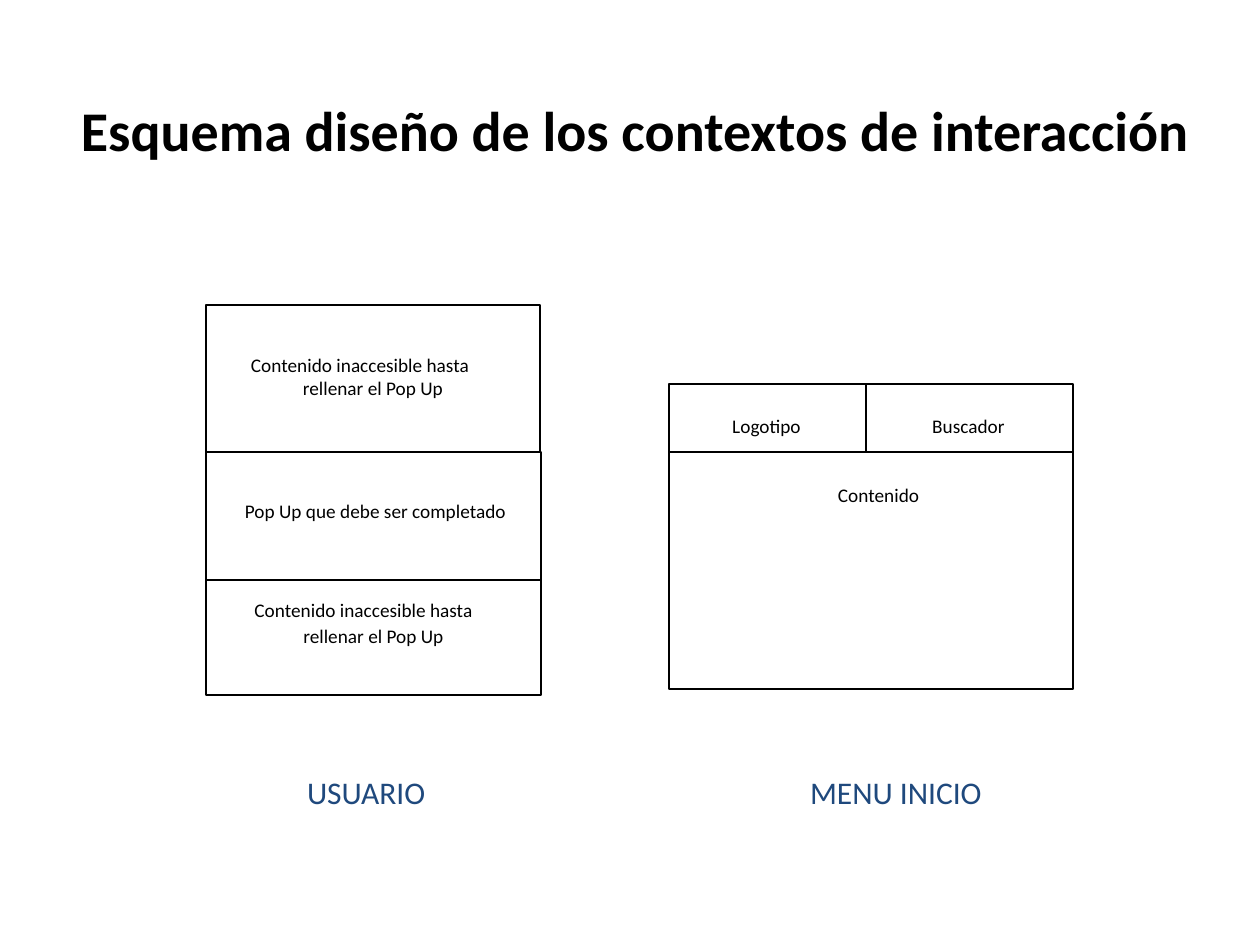
from pptx import Presentation
from pptx.dml.color import RGBColor
from pptx.enum.shapes import MSO_SHAPE as Shape
from pptx.enum.text import MSO_ANCHOR as Anchor, PP_ALIGN as Align
from pptx.util import Emu, Pt

COLORS = {"ink": "000000", "paper": "FFFFFF", "caption": "1F497D"}


def px(length):
    return Emu(round(length * 914400 / 126))


def rgb(name):
    return RGBColor.from_string(COLORS[name])


class Wireframe:
    font = "Calibri"
    body_size = 11
    line_width = 0.75

    def __init__(self, slide):
        self.slide = slide

    def fill_text(self, frame, words, size, color, bold=False, align=Align.LEFT,
                  insets=(12, 6, 12, 6), anchor=Anchor.TOP, hanging=0, spacing=None):
        sides = ("margin_left", "margin_top", "margin_right", "margin_bottom")
        layout = dict(zip(sides, map(px, insets)))
        layout.update(word_wrap=True, vertical_anchor=anchor)
        for key, value in layout.items():
            setattr(frame, key, value)
        paragraph = frame.paragraphs[0]
        paragraph.text = words
        paragraph.alignment = align
        if spacing:
            paragraph.line_spacing = spacing
        if hanging:
            properties = paragraph._p.get_or_add_pPr()
            properties.set("marL", str(px(hanging)))
            properties.set("indent", str(-px(hanging)))
        font = paragraph.runs[0].font
        for key, value in {"name": self.font, "size": Pt(size), "bold": bold}.items():
            setattr(font, key, value)
        font.color.rgb = rgb(color)

    def label(self, bounds, words, size, color, **style):
        box = self.slide.shapes.add_textbox(*map(px, bounds))
        self.fill_text(box.text_frame, words, size, color, **style)

    def panel(self, bounds, words, **style):
        panel = self.slide.shapes.add_shape(Shape.RECTANGLE, *map(px, bounds))
        panel.shadow.inherit = False
        panel.fill.solid()
        panel.fill.fore_color.rgb = rgb("paper")
        panel.line.color.rgb = rgb("ink")
        panel.line.width = Pt(self.line_width)
        self.fill_text(panel.text_frame, words, self.body_size, "ink", **style)


def main():
    deck = Presentation()
    deck.slide_width, deck.slide_height = px(1260), px(945)
    wireframe = Wireframe(deck.slides.add_slide(deck.slide_layouts[6]))

    wireframe.label((69, 69, 1148, 100), "Esquema diseño de los contextos de interacción",
                    32, "ink", bold=True, anchor=Anchor.BOTTOM)

    blocked = "Contenido inaccesible hasta rellenar el Pop Up"
    popup = "Pop Up que debe ser completado"
    user_rows = [
        (334, 147, blocked, {"insets": (16, 48, 42, 6), "hanging": 26}),
        (335, 128, popup, {"insets": (16, 47, 12, 6)}),
        (335, 115, blocked, {"insets": (20, 16, 40, 6), "hanging": 20, "spacing": 1.12}),
    ]
    top = 305
    for width, height, words, style in user_rows:
        wireframe.panel((206, top, width, height), words, align=Align.CENTER, **style)
        top += height

    menu_left, menu_top, header_height = 669, 384, 68
    wireframe.panel((menu_left, menu_top + header_height, 404, 237), "Contenido",
                    insets=(169, 31, 12, 6))
    left = menu_left
    for width, words in ((197, "Logotipo"), (207, "Buscador")):
        wireframe.panel((left, menu_top, width, header_height), words,
                        align=Align.CENTER, insets=(10, 30, 12, 6))
        left += width

    for left, width, words in ((295, 147, "USUARIO"), (798, 197, "MENU INICIO")):
        wireframe.label((left, 767, width, 50), words, 18, "caption")

    deck.save("out.pptx")


if __name__ == "__main__":
    main()
